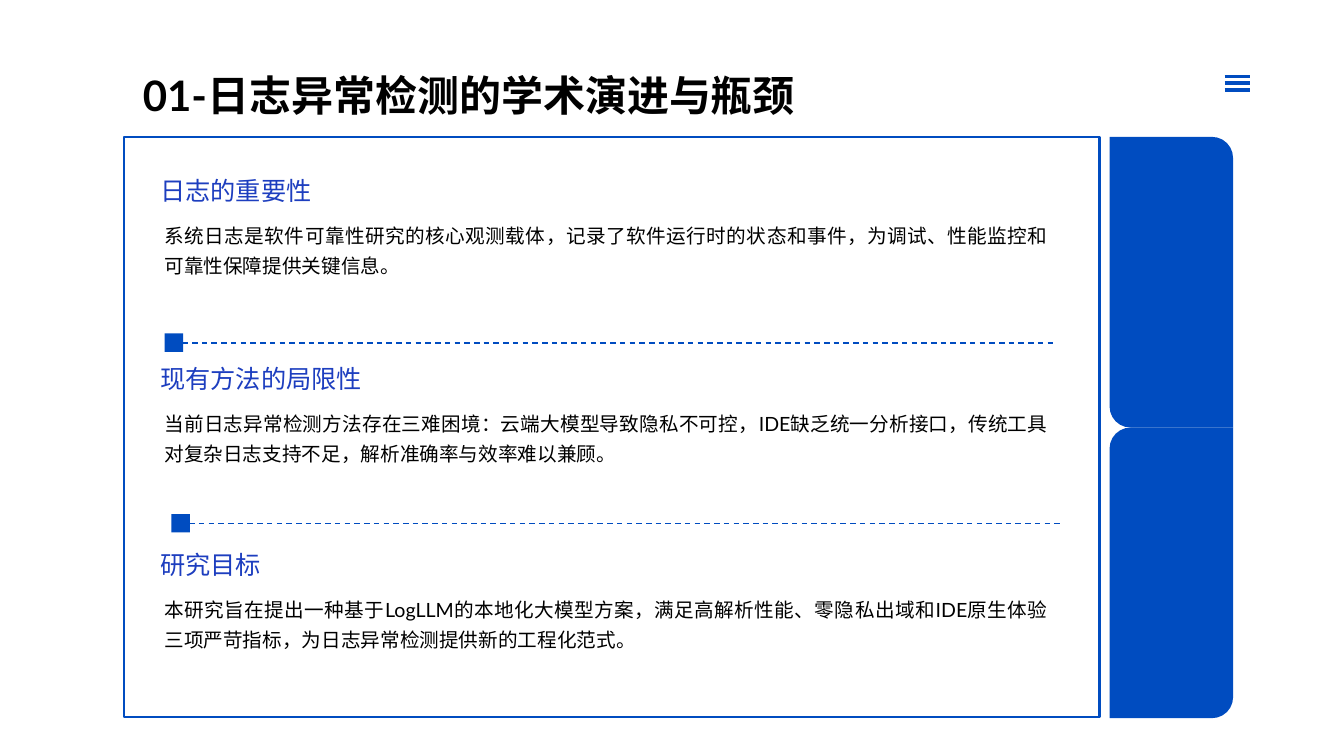
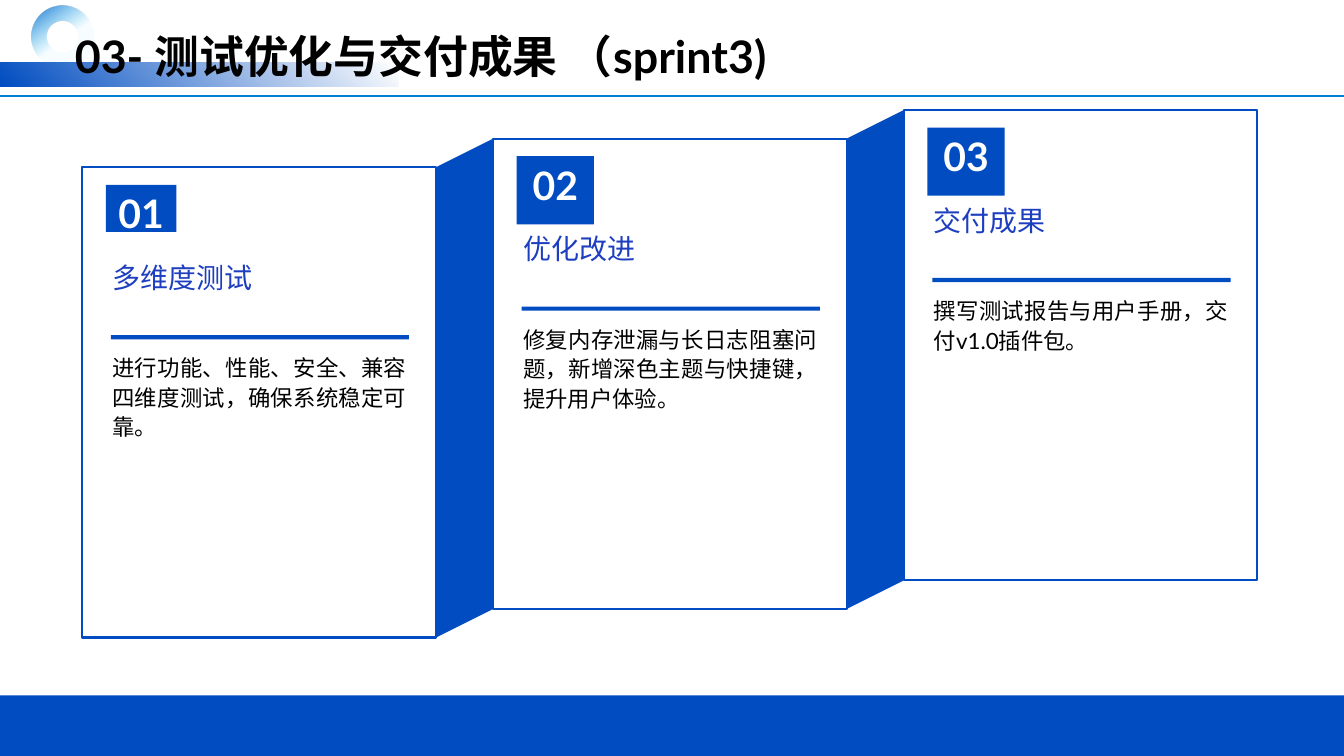
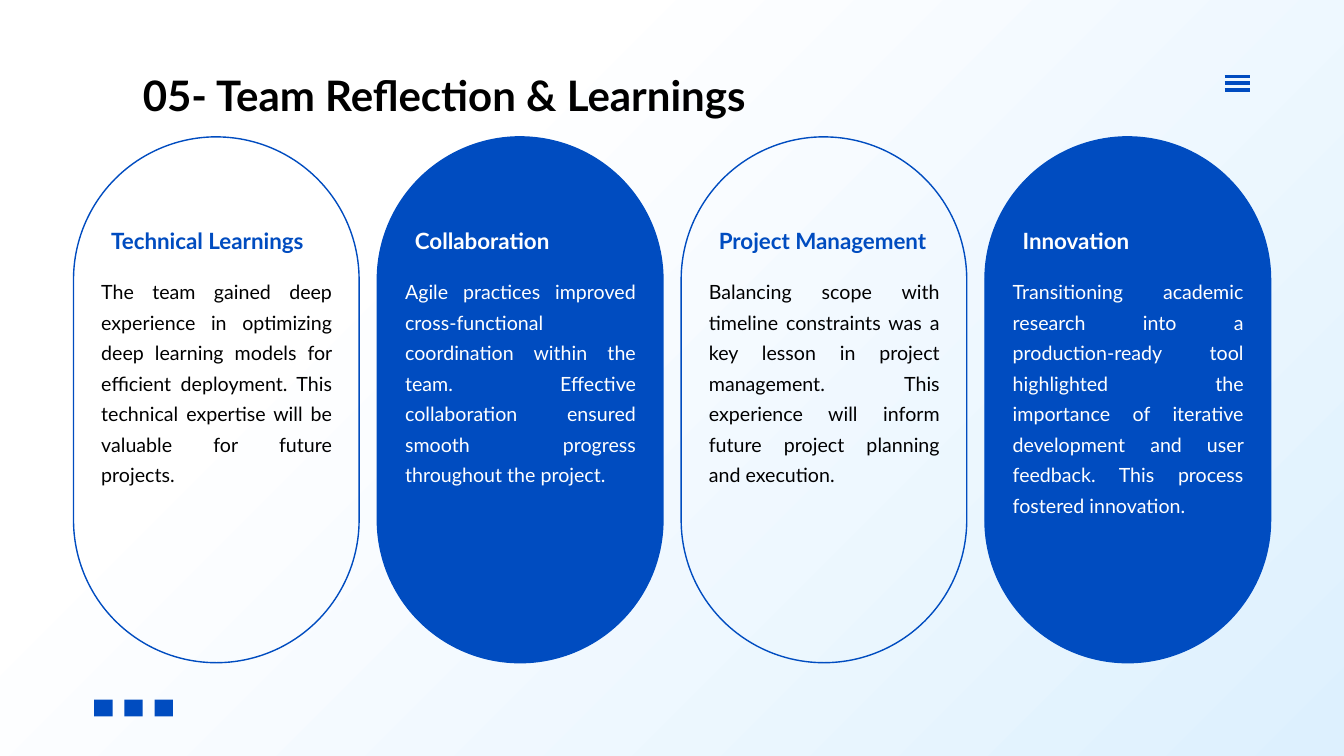
import pptx
import pptx.util
import pptx.dml.color
import pptx.enum.dml
import pptx.enum.shapes
import pptx.enum.text
import pptx.oxml
import pptx.oxml.ns
from lxml import etree

SHAPE = pptx.enum.shapes.MSO_SHAPE
ANCHOR = pptx.enum.text.MSO_ANCHOR
ALIGN = pptx.enum.text.PP_ALIGN
FIT = pptx.enum.text.MSO_AUTO_SIZE

COLUMNS, ROWS = 160, 90
CELL = pptx.util.Inches(1) // 12
BLUE, HEADING, SKY = "004CC0", "1D3EBF", "007FD4"
BLACK, WHITE = "000000", "FFFFFF"
FONT = "Lato"


def color(value):
    return pptx.dml.color.RGBColor.from_string(value)


def cells(*values):
    """Turn grid cells into slide lengths."""
    return [round(value * CELL) for value in values]


def paint_gradient(owner, fill, angle, stops):
    """Fill clockwise from angle; stops are (percent, colour, opacity percent)."""
    fill.gradient()
    fill.gradient_angle = (360 - angle) % 360
    stop_list = next(owner.iter(pptx.oxml.ns.qn("a:gsLst")))
    for stop in list(stop_list):
        stop_list.remove(stop)
    for position, value, opacity in stops:
        stop = etree.SubElement(stop_list, pptx.oxml.ns.qn("a:gs"), pos=str(position * 1000))
        tint = etree.SubElement(stop, pptx.oxml.ns.qn("a:srgbClr"), val=value)
        if opacity < 100:
            etree.SubElement(tint, pptx.oxml.ns.qn("a:alpha"), val=str(opacity * 1000))


class Painter:
    def __init__(self):
        self.deck = pptx.Presentation()
        self.deck.slide_width, self.deck.slide_height = cells(COLUMNS, ROWS)
        self.page = None

    def new_page(self):
        self.page = self.deck.slides.add_slide(self.deck.slide_layouts[5])
        self.page.background.fill.solid()
        self.page.background.fill.fore_color.rgb = color(WHITE)

    def title(self, words, left=15.8, top=7.7, height=7.3, size=30):
        box = self.page.shapes.title
        box.left, box.top, box.width, box.height = cells(left, top, 133.2, height)
        self.set_words(box.text_frame, words, size, BLACK, bold=True, align=ALIGN.LEFT)
        self.page.shapes._spTree.append(box._element)

    def set_words(self, frame, words, size, ink, bold=False, align=ALIGN.JUSTIFY,
                  spacing=None, anchor=ANCHOR.TOP, fit=FIT.SHAPE_TO_FIT_TEXT):
        frame.word_wrap = True
        frame.auto_size = fit
        frame.vertical_anchor = anchor
        para = frame.paragraphs[0]
        para.alignment = align
        if spacing:
            para.line_spacing = spacing
        span = para.add_run()
        span.text = words
        span.font.name = FONT
        span.font.size = pptx.util.Pt(size)
        span.font.bold = bold
        span.font.color.rgb = color(ink)

    def text(self, place, words, size, ink, insets=None, **style):
        frame = self.page.shapes.add_textbox(*cells(*place)).text_frame
        if insets:
            (frame.margin_left, frame.margin_top,
             frame.margin_right, frame.margin_bottom) = cells(*insets)
        self.set_words(frame, words, size, ink, **style)

    def shape(self, place, kind=SHAPE.RECTANGLE, fill=BLUE, line=None, weight=1.5, adjust=()):
        box = self.page.shapes.add_shape(kind, *cells(*place))
        for index, value in enumerate(adjust):
            box.adjustments[index] = value
        self.finish(box, fill, line, weight)
        return box

    def finish(self, box, fill, line=None, weight=1.5):
        box.shadow.inherit = False
        if fill:
            box.fill.solid()
            box.fill.fore_color.rgb = color(fill)
        else:
            box.fill.background()
        if line:
            box.line.color.rgb = color(line)
            box.line.width = pptx.util.Pt(weight)
        else:
            box.line.fill.background()

    def polygon(self, points):
        outline = self.page.shapes.build_freeform(*cells(*points[0]))
        outline.add_line_segments([cells(*point) for point in points[1:]], close=True)
        self.finish(outline.convert_to_shape(), BLUE)

    def rule(self, left, right, top, ink=BLUE, weight=1.5, dashed=False):
        line = self.page.shapes.add_connector(
            pptx.enum.shapes.MSO_CONNECTOR.STRAIGHT, *cells(left, top, right, top))
        line.line.color.rgb = color(ink)
        line.line.width = pptx.util.Pt(weight)
        if dashed:
            line.line.dash_style = pptx.enum.dml.MSO_LINE.DASH
        etree.SubElement(line._element.spPr, pptx.oxml.ns.qn("a:effectLst"))

    def menu_icon(self):
        for index in range(3):
            self.rule(145.8, 148.8, 9.1 + 0.8 * index, weight=2.5)


def draw_background_page(painter):
    painter.new_page()
    for top, adjust in ((16.3, (0, 0.17)), (50.9, (0.17, 0))):
        painter.shape((132.1, top, 14.7, 34.6), SHAPE.ROUND_2_DIAG_RECTANGLE, adjust=adjust)
    painter.shape((14.8, 16.3, 116.1, 69.1), fill=None, line=BLUE)
    for left, top in ((19.6, 39.7), (20.4, 61.2)):
        painter.shape((left, top, 2.2, 2.2))
        painter.rule(left + 0.95, left + 105.8, top + 1.15, weight=1, dashed=True)
    painter.title("01-日志异常检测的学术演进与瓶颈")
    painter.menu_icon()
    sections = (
        (20.8, "日志的重要性",
         "系统日志是软件可靠性研究的核心观测载体，记录了软件运行时的状态和事件，为调试、性能监控和可靠性保障提供关键信息。"),
        (43.2, "现有方法的局限性",
         "当前日志异常检测方法存在三难困境：云端大模型导致隐私不可控，IDE缺乏统一分析接口，传统工具对复杂日志支持不足，解析准确率与效率难以兼顾。"),
        (65.3, "研究目标",
         "本研究旨在提出一种基于LogLLM的本地化大模型方案，满足高解析性能、零隐私出域和IDE原生体验三项严苛指标，为日志异常检测提供新的工程化范式。"),
    )
    for top, heading, body in sections:
        painter.text((17.9, top, 112.3, 3.7), heading, 18, HEADING, anchor=ANCHOR.MIDDLE)
        painter.text((18.4, top + 4.4, 107.5, 7.6), body, 14, BLACK, spacing=1.3)


def draw_delivery_page(painter):
    painter.new_page()
    band = painter.shape((0, 7.4, 47.4, 2.9))
    paint_gradient(band._element, band.fill, 135, ((0, WHITE, 100), (100, BLUE, 100)))
    painter.rule(0, COLUMNS, 11.4, SKY)
    ring = painter.shape((3.8, 0.7, 7.3, 7.3), SHAPE.DONUT, adjust=(0.25,))
    ring.rotation = 99
    paint_gradient(ring._element, ring.fill, 315,
                   ((0, BLUE, 100), (54, "00B0F0", 3), (100, "00B0F0", 3)))
    painter.shape((0, 82.8, COLUMNS, 7.2))
    painter.title("03- 测试优化与交付成果 （sprint3)", 7.7, 2.8, 7.7, 32)

    width, height, step, rise = 42.1, 56, 48.9, 3.4
    cards = (
        ("多维度测试", "进行功能、性能、安全、兼容四维度测试，确保系统稳定可靠。", (8.4, 5.6)),
        ("优化改进", "修复内存泄漏与长日志阻塞问题，新增深色主题与快捷键，提升用户体验。", (9.2, 8.1)),
        ("交付成果", "撰写测试报告与用户手册，交付v1.0插件包。", (9.2, 8.1)),
    )
    for index, (heading, body, badge_size) in enumerate(cards):
        left, top = 9.8 + step * index, 19.9 - rise * index
        painter.shape((left, top, width, height), fill=WHITE, line=BLUE)
        painter.shape((left + 3.4, top + 20, 35.5, 0.5))
        if index:
            edge, fold = left - step + width, top + rise
            painter.polygon([(left, top), (edge, fold), (edge, fold + height),
                             (left, top + height)])
        badge = painter.shape((left + 2.8, top + 2.1, *badge_size))
        painter.set_words(badge.text_frame, f"{index + 1:02d}", 28, WHITE, bold=True,
                          align=ALIGN.CENTER, fit=FIT.NONE)
        painter.text((left + 2.4, top + 10.5, 37.4, 4.1), heading, 20, HEADING)
        painter.text((left + 2.4, top + 21.4, 37.4, 10.9), body, 16, BLACK, spacing=1.1)


def draw_learnings_page(painter):
    painter.new_page()
    paint_gradient(painter.page._element, painter.page.background.fill, 45,
                   ((0, WHITE, 100), (28, WHITE, 100), (100, "DDF0FE", 100)))
    for index in range(3):
        painter.shape((11.2 + 3.6 * index, 83.3, 2.2, 2))
    painter.title("05- Team Reflection & Learnings")
    painter.menu_icon()
    learnings = (
        ("Technical Learnings",
         "The team gained deep experience in optimizing deep learning models for efficient "
         "deployment. This technical expertise will be valuable for future projects."),
        ("Collaboration",
         "Agile practices improved cross-functional coordination within the team. Effective "
         "collaboration ensured smooth progress throughout the project."),
        ("Project Management",
         "Balancing scope with timeline constraints was a key lesson in project management. "
         "This experience will inform future project planning and execution."),
        ("Innovation",
         "Transitioning academic research into a production-ready tool highlighted the "
         "importance of iterative development and user feedback. This process fostered "
         "innovation."),
    )
    for index, (heading, body) in enumerate(learnings):
        left = 8.75 + 36.17 * index
        filled = index % 2 == 1
        painter.shape((left, 16.3, 34, 62.6), SHAPE.ROUNDED_RECTANGLE,
                      fill=BLUE if filled else None, line=BLUE, weight=1, adjust=(0.5,))
        painter.text((left + 3.3, 23.3, 27.5, 10.1), heading, 16, WHITE if filled else BLUE,
                     insets=(1.2, 0.6, 1.2, 0), bold=True, anchor=ANCHOR.MIDDLE, fit=FIT.NONE)
        painter.text((left + 3.3, 32.5, 27.5, 34.7), body, 14, WHITE if filled else BLACK,
                     insets=(0, 0, 0, 0), spacing=1.3, fit=FIT.NONE)


def main():
    painter = Painter()
    draw_background_page(painter)
    draw_delivery_page(painter)
    draw_learnings_page(painter)
    painter.deck.save("out.pptx")


if __name__ == "__main__":
    main()
